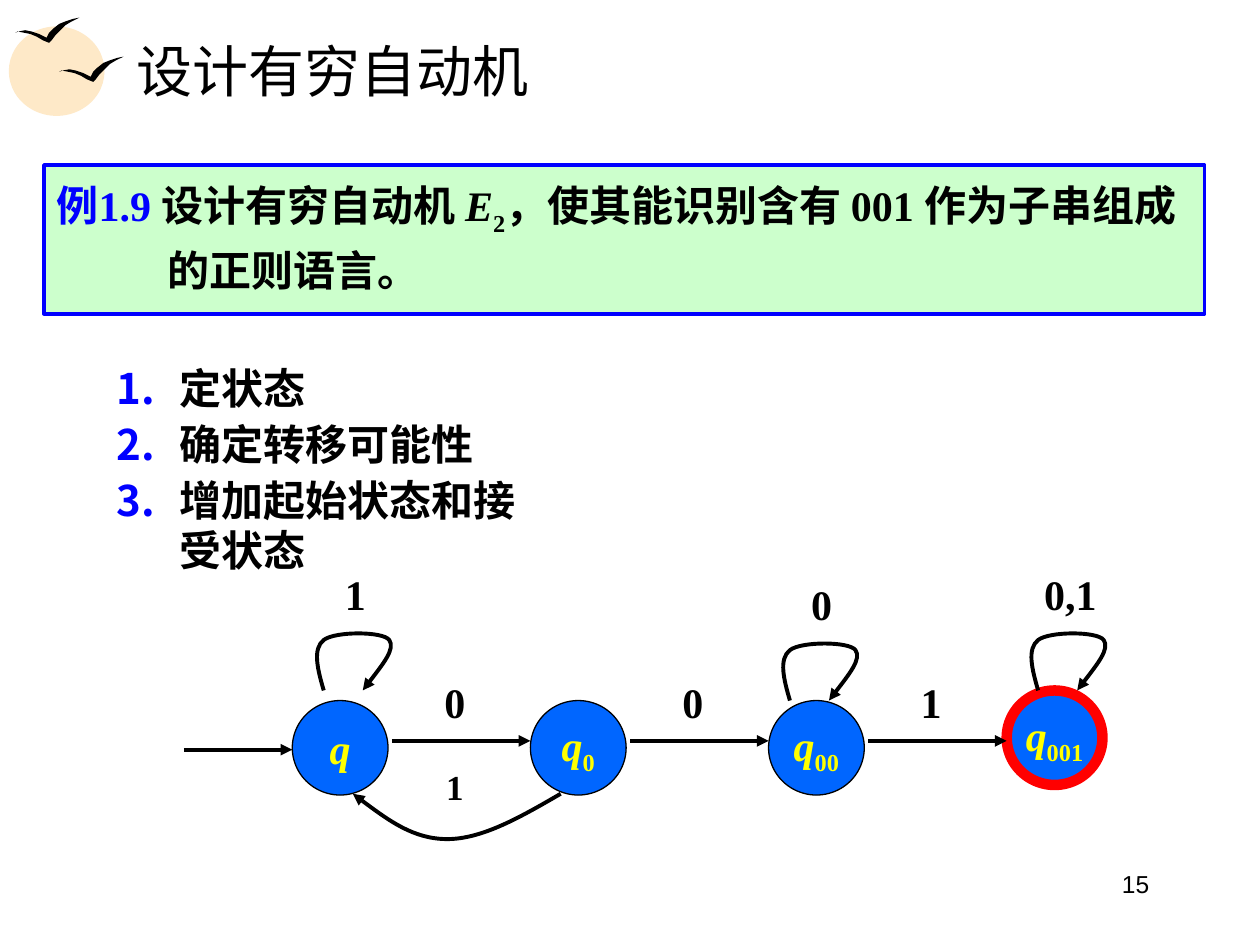
from dataclasses import dataclass

from lxml import etree
from pptx import Presentation
from pptx.dml.color import RGBColor
from pptx.enum import shapes, text
from pptx.oxml.ns import qn
from pptx.util import Inches, Pt

HUE = dict(black="000000", blue="0000FF", node="0066FF", red="FF0000",
           yellow="FFFF00", mint="CCFFCC", sun="FEE9C8")
SERIF = "Times New Roman"
LEFT, MID, RIGHT = text.PP_ALIGN.LEFT, text.PP_ALIGN.CENTER, text.PP_ALIGN.RIGHT
OVAL, RECT = shapes.MSO_SHAPE.OVAL, shapes.MSO_SHAPE.RECTANGLE
STEP = 1.89


@dataclass
class Part:
    """A run of text that may differ from its paragraph."""
    words: str
    hue: str = ""
    slant: bool = False
    sub: bool = False


@dataclass
class State:
    sub: str
    x: float
    y: float = 5.56
    rim: str = "black"
    width: float = 0.75


@dataclass
class Label:
    words: str
    x: float
    y: float
    w: float = 0.36
    h: float = 0.5
    size: int = 24


@dataclass
class Curve:
    """A start point followed by the control points of cubic curves."""
    points: list[tuple[float, float]]
    dx: float = 0
    dy: float = 0


LOOP = [(2.57, 5.48), (2.52, 5.31), (2.48, 5.15), (2.57, 5.08), (2.66, 5.01),
        (3.04, 5.01), (3.09, 5.08), (3.14, 5.15), (3.01, 5.31), (2.88, 5.48)]
BACK = [(4.45, 6.3), (4.14, 6.48), (3.83, 6.66), (3.55, 6.66), (3.28, 6.66),
        (3.04, 6.48), (2.8, 6.3)]
CURVES = [Curve(LOOP), Curve(LOOP, 3.7, 0.08), Curve(LOOP, 3 * STEP), Curve(BACK)]

BIRD = [(0.47, 0.57), (0.5, 0.56), (0.55, 0.55), (0.6, 0.56), (0.66, 0.58),
        (0.72, 0.61), (0.74, 0.57), (0.77, 0.54), (0.82, 0.5), (0.87, 0.48),
        (0.93, 0.46), (0.98, 0.45), (0.92, 0.48), (0.87, 0.51), (0.83, 0.55),
        (0.79, 0.59), (0.76, 0.63), (0.74, 0.65), (0.69, 0.63), (0.64, 0.6),
        (0.59, 0.58), (0.54, 0.57), (0.49, 0.56)]

STATES = [State("001", 2.32 + 3 * STEP, 5.48, "red", 6),
          *(State("0" * i, 2.32 + i * STEP) for i in range(3))]
LABELS = [*(Label(s, 3.43 + i * STEP, 5.32) for i, s in enumerate("001")),
          Label("1", 2.64, 4.46), Label("0", 6.34, 4.54),
          Label("0,1", 8.19, 4.46, w=0.61),
          Label("1", 3.44, 6.03, w=0.34, h=0.44, size=20)]
ARROWS = [(1.46, 2.32, 5.95),
          *((3.11 + i * STEP, 4.21 + i * STEP, 5.88) for i in range(3))]
TASK = [Part("例1.9 ", "blue"), Part("设计有穷自动机 "), Part("E", slant=True),
        Part("2", sub=True), Part("，使其能识别含有 001 作为子串组成的正则语言。")]
STEPS = ["定状态", "确定转移可能性", "增加起始状态和接受状态"]


def rgb(hue: str) -> RGBColor:
    return RGBColor.from_string(HUE[hue])


def style(font, size: float, hue: str = "black", bold: bool = True, face: str = SERIF):
    font.name, font.size, font.bold = face, Pt(size), bold
    font.color.rgb = rgb(hue)


def write(para, parts: list[Part]):
    for part in parts:
        run = para.add_run()
        run.text = part.words
        if part.hue:
            run.font.color.rgb = rgb(part.hue)
        if part.slant:
            run.font.italic = True
        if part.sub:
            run._r.get_or_add_rPr().set("baseline", "-25000")


def hang(para, indent: float):
    props = para._p.get_or_add_pPr()
    props.set("marL", str(Inches(indent)))
    props.set("indent", str(-Inches(indent)))
    return props


def paint(shape, fill: str = "", line: str = "", width: float = 0):
    shape.shadow.inherit = False
    if fill:
        shape.fill.solid()
        shape.fill.fore_color.rgb = rgb(fill)
    else:
        shape.fill.background()
    if line:
        shape.line.color.rgb, shape.line.width = rgb(line), Pt(width)
    else:
        shape.line.fill.background()


def form(slide, kind, x: float, y: float, w: float, h: float):
    return slide.shapes.add_shape(kind, Inches(x), Inches(y), Inches(w), Inches(h))


def box(slide, x: float, y: float, w: float, h: float):
    frame = slide.shapes.add_textbox(Inches(x), Inches(y), Inches(w), Inches(h)).text_frame
    frame.word_wrap = True
    return frame


def outline(slide, points, dx: float, dy: float, close: bool):
    spots = [(Inches(x + dx), Inches(y + dy)) for x, y in points]
    pen = slide.shapes.build_freeform(*spots[0])
    pen.add_line_segments(spots[1:], close=close)
    return pen.convert_to_shape()


def tip(shape):
    """Put an arrowhead at the end of a line."""
    etree.SubElement(shape.line._get_or_add_ln(), qn("a:tailEnd"), type="triangle")


def bend(slide, curve: Curve):
    """Draw a curved arrow, turning each three line segments into one cubic."""
    shape = outline(slide, curve.points, curve.dx, curve.dy, False)
    track = next(shape._element.iter(qn("a:path")))
    legs = track.findall(qn("a:lnTo"))
    for i in range(0, len(legs), 3):
        cubic = etree.SubElement(track, qn("a:cubicBezTo"))
        for leg in legs[i:i + 3]:
            cubic.append(leg[0])
            track.remove(leg)
    paint(shape, line="black", width=2.25)
    tip(shape)


def arrow(slide, x1: float, x2: float, y: float):
    line = slide.shapes.add_connector(shapes.MSO_CONNECTOR.STRAIGHT, Inches(x1),
                                      Inches(y), Inches(x2), Inches(y))
    line.line.color.rgb, line.line.width = rgb("black"), Pt(2.25)
    tip(line)
    etree.SubElement(line._element.spPr, qn("a:effectLst"))


def node(slide, state: State):
    shape = form(slide, OVAL, state.x, state.y, 0.76, 0.75)
    paint(shape, "node", state.rim, state.width)
    frame = shape.text_frame
    frame.word_wrap, frame.vertical_anchor = False, text.MSO_ANCHOR.MIDDLE
    para = frame.paragraphs[0]
    para.alignment = MID
    style(para.font, 24, "yellow")
    write(para, [Part("q", slant=True)] + [Part(state.sub, sub=True)] * bool(state.sub))


def tag(slide, label: Label):
    frame = box(slide, label.x, label.y, label.w, label.h)
    frame.margin_left = frame.margin_right = 0
    para = frame.paragraphs[0]
    para.text, para.alignment = label.words, MID
    style(para.font, label.size)


def head(slide):
    paint(form(slide, OVAL, 0.07, 0.21, 0.76, 0.71), "sun")
    for dx, dy in ((0, 0), (-0.35, -0.31)):
        paint(outline(slide, BIRD, dx, dy, True), "black")
    title = slide.shapes.title
    title.left, title.top = Inches(0.98), Inches(0.21)
    title.width, title.height = Inches(8.53), Inches(0.69)
    title.text_frame.vertical_anchor = text.MSO_ANCHOR.MIDDLE
    para = title.text_frame.paragraphs[0]
    para.text, para.alignment = "设计有穷自动机", LEFT
    style(para.font, 32, bold=False)


def task(slide):
    shape = form(slide, RECT, 0.35, 1.31, 9.21, 1.18)
    paint(shape, "mint", "blue", 2.25)
    shape.text_frame.vertical_anchor = text.MSO_ANCHOR.TOP
    para = shape.text_frame.paragraphs[0]
    para.alignment, para.line_spacing = LEFT, 1.15
    hang(para, 0.88)
    style(para.font, 24)
    write(para, TASK)


def plan(slide):
    frame = box(slide, 0.83, 2.83, 3.4, 1.81)
    for i, words in enumerate(STEPS):
        para = frame.add_paragraph() if i else frame.paragraphs[0]
        para.text, para.line_spacing = words, 1.0
        if i:
            para.space_before = Pt(3)
        props = hang(para, 0.5)
        tint = etree.SubElement(props, qn("a:buClr"))
        etree.SubElement(tint, qn("a:srgbClr"), val=HUE["blue"])
        etree.SubElement(props, qn("a:buAutoNum"), type="arabicPeriod")
        style(para.font, 24)


def main():
    deck = Presentation()
    deck.slide_width, deck.slide_height = Inches(10), Inches(7.5)
    slide = deck.slides.add_slide(deck.slide_layouts[5])
    head(slide)
    task(slide)
    plan(slide)
    for state in STATES:
        node(slide, state)
    for ends in ARROWS:
        arrow(slide, *ends)
    for curve in CURVES:
        bend(slide, curve)
    for label in LABELS:
        tag(slide, label)
    page = box(slide, 6.89, 6.85, 2.33, 0.52).paragraphs[0]
    page.text, page.alignment = "15", RIGHT
    style(page.font, 14, bold=False, face="Arial")
    deck.save("out.pptx")


if __name__ == "__main__":
    main()
